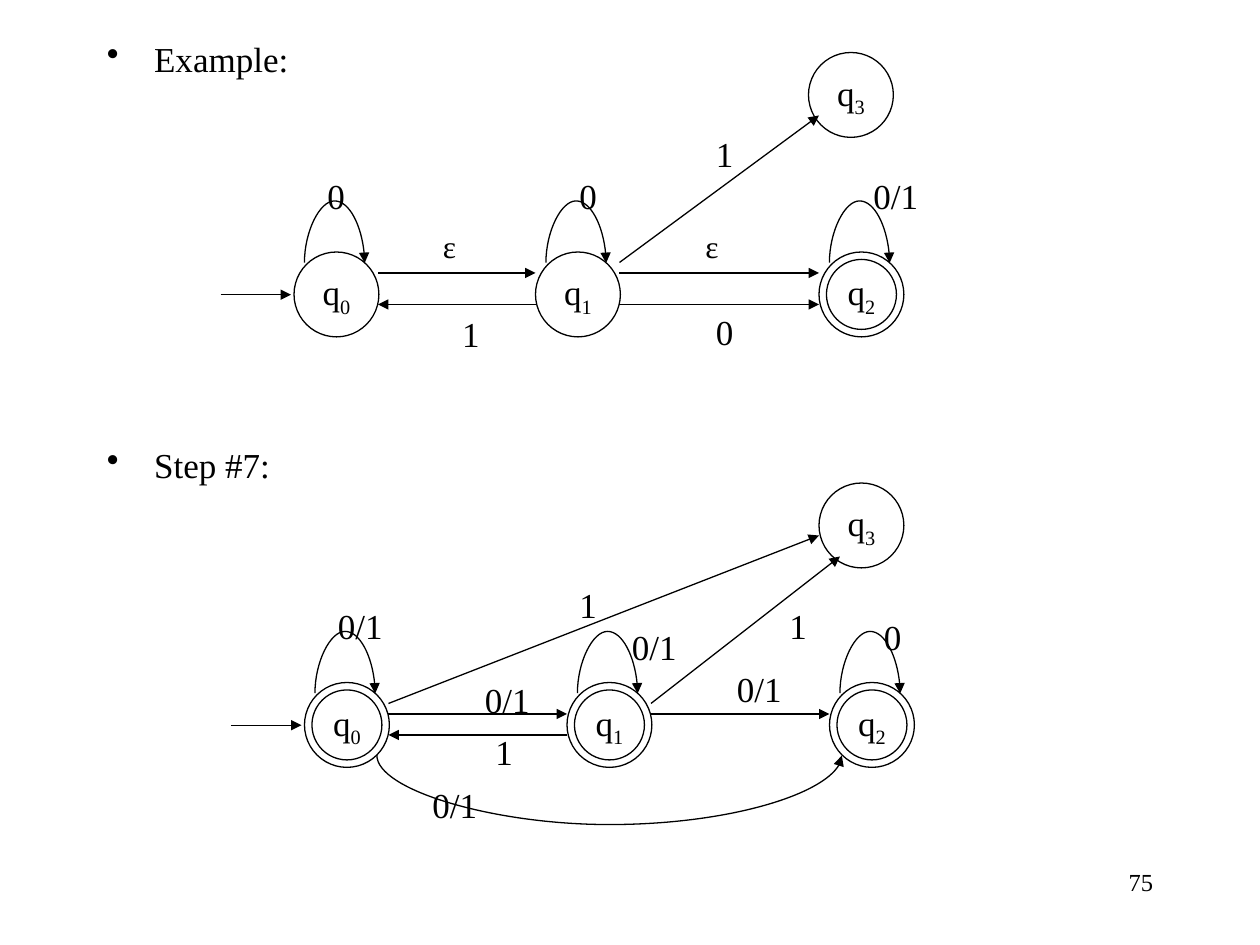
from lxml.etree import SubElement
from pptx import Presentation
from pptx.dml.color import RGBColor
from pptx.enum.shapes import MSO_CONNECTOR, MSO_SHAPE
from pptx.enum.text import MSO_ANCHOR, MSO_AUTO_SIZE, PP_ALIGN
from pptx.oxml.ns import qn
from pptx.util import Pt

COLORS = {"ink": "000000"}
FONT = "Times New Roman"
STATE_SIZE = 48.5
RING_GAP = 4.25
BEND_BASE = 0.17  # thickness of a curved connector's frame

# Each automaton: states (name, left, top, accepting), edges, labels (text, left, top)
EXAMPLE = {
    "states": [("0", 168, 144, False), ("1", 306, 144, False),
               ("2", 468, 144, True), ("3", 462, 30, False)],
    "edges": [(216, 156, 306, 156), (306, 174, 216, 174), (354, 156, 468, 156),
              (354, 174, 468, 174), (354, 150, 468, 66)],
    "labels": [("0", 180, 96), ("0", 324, 96), ("0/1", 492, 96), ("ε", 246, 126),
               ("1", 257, 175), ("ε", 396, 126), ("0", 402, 174), ("1", 402, 72)],
}
STEP_SEVEN = {
    "states": [("0", 174, 390, True), ("1", 324, 390, True),
               ("2", 474, 390, True), ("3", 468, 276, False)],
    "edges": [(222, 408, 324, 408), (324, 420, 222, 420), (372, 408, 474, 408),
              (222, 402, 468, 306), (372, 402, 480, 318)],
    "labels": [("0/1", 186, 342), ("0/1", 270, 384), ("0/1", 240, 444), ("1", 324, 330),
               ("0/1", 354, 354), ("0/1", 414, 378), ("1", 276, 414),
               ("1", 444, 342), ("0", 498, 348)],
}


def ink():
    return RGBColor.from_string(COLORS["ink"])


def add_run(para, text, size=20):
    span = para.add_run()
    span.text = text
    span.font.name = FONT
    span.font.size = Pt(size)
    span.font.color.rgb = ink()
    return span


def add_box(page, left, top, width, height, wrap=True):
    box = page.shapes.add_textbox(Pt(left), Pt(top), Pt(width), Pt(height))
    box.text_frame.word_wrap = wrap
    return box.text_frame


def add_label(page, text, left, top):
    frame = add_box(page, left, top, 41 if len(text) > 1 else 24.5, 31.7, wrap=False)
    frame.auto_size = MSO_AUTO_SIZE.SHAPE_TO_FIT_TEXT
    add_run(frame.paragraphs[0], text, 18 if text == "ε" else 20)


def add_circle(page, left, top, size):
    circle = page.shapes.add_shape(MSO_SHAPE.OVAL, Pt(left), Pt(top), Pt(size), Pt(size))
    circle.shadow.inherit = False
    circle.fill.background()
    circle.line.color.rgb = ink()
    circle.line.width = Pt(0.75)
    return circle


def add_state(page, name, left, top, accepting):
    circle = add_circle(page, left, top, STATE_SIZE)
    if accepting:
        circle = add_circle(page, left + RING_GAP, top + RING_GAP, STATE_SIZE - 2 * RING_GAP)
    frame = circle.text_frame
    frame.word_wrap = False
    frame.vertical_anchor = MSO_ANCHOR.MIDDLE
    para = frame.paragraphs[0]
    para.alignment = PP_ALIGN.CENTER
    add_run(para, "q")
    add_run(para, name).font._element.set("baseline", "-25000")


def add_arrow(page, x1, y1, x2, y2, kind=MSO_CONNECTOR.STRAIGHT):
    arrow = page.shapes.add_connector(kind, Pt(x1), Pt(y1), Pt(x2), Pt(y2))
    arrow.line.color.rgb = ink()
    arrow.line.width = Pt(0.75)
    SubElement(arrow.line._get_or_add_ln(), qn("a:tailEnd"), type="triangle")
    SubElement(arrow._element.spPr, qn("a:effectLst"))
    return arrow


def add_arc(page, left, y, span, depth):
    """Curved arrow from left to right; a negative depth rises, a positive one sinks."""
    middle = left + span / 2
    arc = add_arrow(page, middle + BEND_BASE / 2, y - span / 2,
                    middle - BEND_BASE / 2, y + span / 2, MSO_CONNECTOR.CURVE)
    properties = arc._element.spPr
    properties.find(qn("a:xfrm")).set("rot", "16200000")
    geometry = properties.find(qn("a:prstGeom"))
    values = geometry.find(qn("a:avLst"))
    if values is None:
        values = SubElement(geometry, qn("a:avLst"))
    bend = round(depth / BEND_BASE * 100000)
    SubElement(values, qn("a:gd"), name="adj1", fmla=f"val {bend}")


def add_automaton(page, automaton):
    states = automaton["states"]
    for state in states:
        add_state(page, *state)
    # Every state but the last loops back to itself
    for _, left, top, _ in states[:-1]:
        add_arc(page, left + 6, top + 6.2, 34.4, -35.3)
    # Start arrow
    _, left, top, _ = states[0]
    add_arrow(page, left - 42, top + 24.4, left - 1.7, top + 24.4)
    for edge in automaton["edges"]:
        add_arrow(page, *edge)
    for label in automaton["labels"]:
        add_label(page, *label)


def add_headings(page):
    frame = add_box(page, 54, 17.9, 612, 498)
    for index, text in enumerate(("Example:", "Step #7:")):
        para = frame.add_paragraph() if index else frame.paragraphs[0]
        if index:
            para.space_before = Pt(208)
        properties = para._p.get_or_add_pPr()
        properties.set("marL", str(Pt(27)))
        properties.set("indent", str(-Pt(27)))
        SubElement(properties, qn("a:buChar"), char="•")
        add_run(para, text)


def main():
    deck = Presentation()
    deck.slide_width, deck.slide_height = Pt(720), Pt(540)
    page = deck.slides.add_slide(deck.slide_layouts[6])

    add_headings(page)
    add_automaton(page, EXAMPLE)
    add_automaton(page, STEP_SEVEN)
    # Arc below the second automaton, from q0 to q2
    add_arc(page, 215.3, 431.7, 265.7, 39.6)

    # Page number
    para = add_box(page, 516, 492, 150, 36).paragraphs[0]
    para.alignment = PP_ALIGN.RIGHT
    add_run(para, "75", 14)
    deck.save("out.pptx")


if __name__ == "__main__":
    main()
